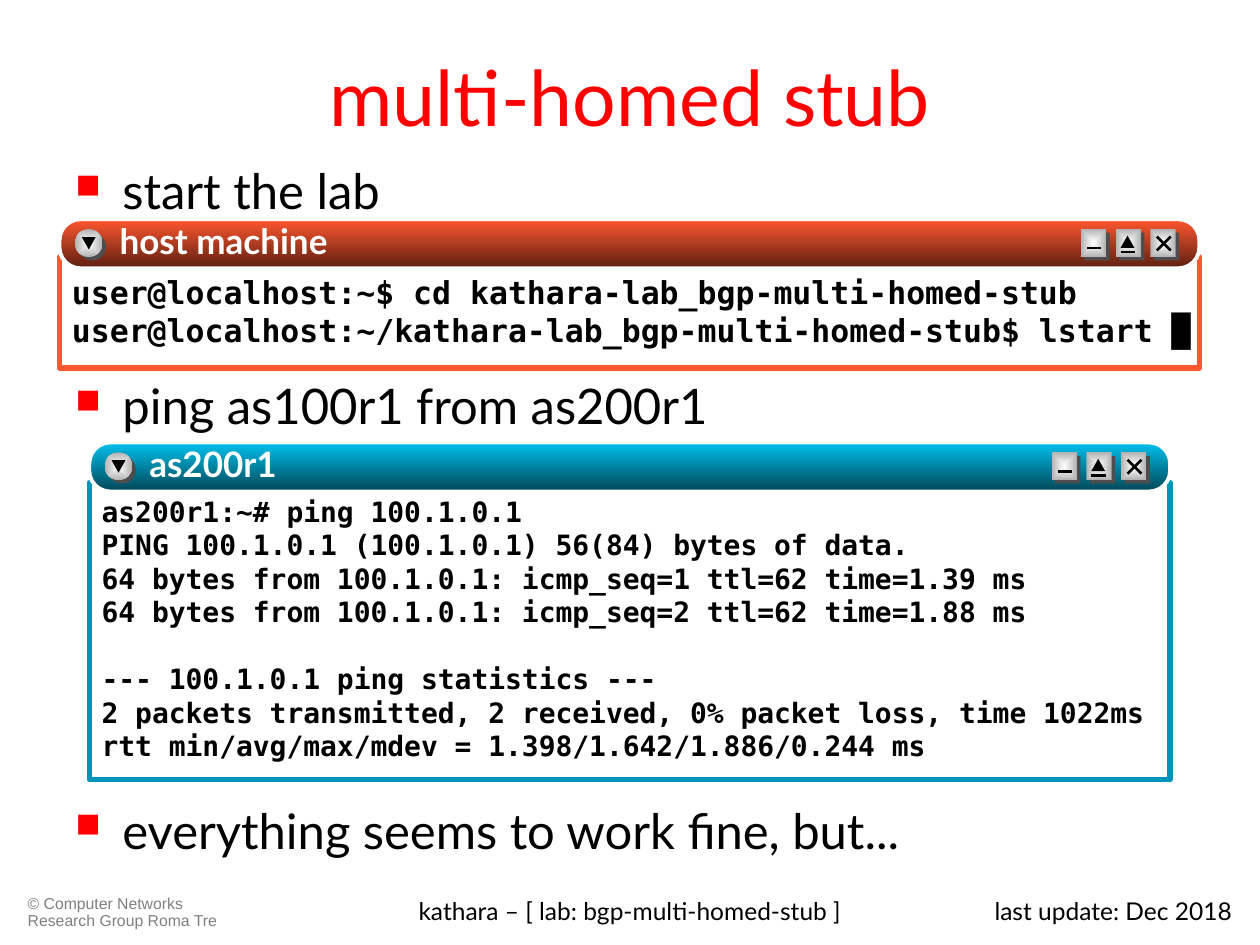
"""Build the multi-homed stub slide with its two terminal windows."""
import lxml.etree
import pptx
import pptx.dml.color
import pptx.enum.shapes
import pptx.enum.text
import pptx.oxml
import pptx.oxml.ns
import pptx.util

Cm = pptx.util.Cm
Pt = pptx.util.Pt
RGBColor = pptx.dml.color.RGBColor
Shape = pptx.enum.shapes.MSO_SHAPE
Align = pptx.enum.text.PP_ALIGN
Anchor = pptx.enum.text.MSO_ANCHOR
qn = pptx.oxml.ns.qn

RED = RGBColor(0xFF, 0x00, 0x00)
BLACK = RGBColor(0x00, 0x00, 0x00)
WHITE = RGBColor(0xFF, 0xFF, 0xFF)
GREY = RGBColor(0x80, 0x80, 0x80)
SILVER = RGBColor(0xB2, 0xB2, 0xB2)
SHADE = RGBColor(0x4D, 0x4D, 0x4D)
ORANGE = RGBColor(0xFF, 0x57, 0x2F)
BROWN = RGBColor(0x5C, 0x1F, 0x11)
CYAN = RGBColor(0x00, 0xC1, 0xEE)
TEAL = RGBColor(0x00, 0x95, 0xB8)
DARK_TEAL = RGBColor(0x00, 0x46, 0x56)
DRAWING = 'xmlns:a="http://schemas.openxmlformats.org/drawingml/2006/main"'


def write(frame, text, size=28, font="Lato", color=BLACK, bold=False, align=Align.LEFT,
          before=0, spacing=None, bullet=False, shadow=False):
    frame.word_wrap = True
    para = frame.paragraphs[0]
    if para.runs:
        para = frame.add_paragraph()
    para.alignment = align
    para.space_before = Pt(before)
    para.line_spacing = spacing
    if bullet:
        props = para._p.get_or_add_pPr()
        props.set("marL", str(Cm(0.95)))
        props.set("indent", str(-Cm(0.95)))
        for mark in (f'<a:buClr {DRAWING}><a:srgbClr val="{RED}"/></a:buClr>',
                     f'<a:buSzPct {DRAWING} val="70000"/>',
                     f'<a:buChar {DRAWING} char="■"/>'):
            props.append(pptx.oxml.parse_xml(mark))
    span = para.add_run()
    span.text = text
    span.font.size = Pt(size)
    span.font.name = font
    span.font.bold = bold
    span.font.color.rgb = color
    if shadow:
        span._r.rPr.find(qn("a:solidFill")).addnext(pptx.oxml.parse_xml(
            f'<a:effectLst {DRAWING}><a:outerShdw dist="25400" dir="2700000">'
            f'<a:srgbClr val="{BLACK}"/></a:outerShdw></a:effectLst>'))


def draw(kind, left, top, width, height, colors, line=None, weight=0, radial=False):
    shape = page.shapes.add_shape(kind, Cm(left), Cm(top), Cm(width), Cm(height))
    shape.shadow.inherit = False
    if len(colors) == 1:
        shape.fill.solid()
        shape.fill.fore_color.rgb = colors[0]
    else:
        shape.fill.gradient()
        shape.fill.gradient_angle = 270
        for stop, color in zip(shape.fill.gradient_stops, colors):
            stop.color.rgb = color
    if radial:
        linear = shape._element.spPr.find(qn("a:gradFill")).find(qn("a:lin"))
        linear.getparent().replace(linear, pptx.oxml.parse_xml(
            f'<a:path {DRAWING} path="rect"><a:fillToRect l="50000" t="50000" '
            'r="50000" b="50000"/></a:path>'))
    if line is None:
        shape.line.fill.background()
    else:
        shape.line.color.rgb = line
        shape.line.width = Pt(weight)
    return shape


deck = pptx.Presentation()
deck.slide_width = Cm(25.4)
deck.slide_height = Cm(19.05)
page = deck.slides.add_slide(deck.slide_layouts[6])

footers = [
    (0.31, 4.39, "© Computer Networks Research Group Roma Tre",
     dict(size=9, font="Arial", color=GREY, spacing=0.9)),
    (19.3, 5.79, "last update: Dec 2018", dict(size=14, align=Align.RIGHT)),
    (6.5, 12.4, "kathara – [ lab: bgp-multi-homed-stub ]", dict(size=14, align=Align.CENTER)),
]
for left, width, text, style in footers:
    box = page.shapes.add_textbox(Cm(left), Cm(17.93), Cm(width), Cm(0.91))
    write(box.text_frame, text, **style)

title = page.shapes.add_textbox(Cm(1.27), Cm(0.76), Cm(22.86), Cm(2.36))
title.text_frame.vertical_anchor = Anchor.MIDDLE
write(title.text_frame, "multi-homed stub", size=44, color=RED, align=Align.CENTER)

body = page.shapes.add_textbox(Cm(1.27), Cm(3.12), Cm(22.86), Cm(14.81))
for text, before in (("start the lab", 0), ("ping as100r1 from as200r1", 89),
                     ("everything seems to work fine, but...", 209)):
    write(body.text_frame, text, before=before, bullet=True)

windows = [
    ("host machine", 1.2, 4.42, 22.98, 5.18, 2.24, 0.33, 18, ORANGE, (ORANGE, BROWN), [
        ("user@localhost:~$ cd kathara-lab_bgp-multi-homed-stub", 0),
        ("user@localhost:~/kathara-lab_bgp-multi-homed-stub$ lstart █", 0),
    ]),
    ("as200r1", 1.8, 8.92, 21.79, 9.73, 5.99, 0.23, 16, TEAL, (CYAN, DARK_TEAL), [
        ("as200r1:~# ping 100.1.0.1", 0),
        ("PING 100.1.0.1 (100.1.0.1) 56(84) bytes of data.", 0),
        ("64 bytes from 100.1.0.1: icmp_seq=1 ttl=62 time=1.39 ms", 0),
        ("64 bytes from 100.1.0.1: icmp_seq=2 ttl=62 time=1.88 ms", 0),
        ("--- 100.1.0.1 ping statistics ---", 19),
        ("2 packets transmitted, 2 received, 0% packet loss, time 1022ms", 0),
        ("rtt min/avg/max/mdev = 1.398/1.642/1.886/0.244 ms", 0),
    ]),
]
button_strokes = [
    [(0.13, 0.38, 0.41, 0.38)],
    [(0.1, 0.46, 0.4, 0.46)],
    [(0.13, 0.43, 0.41, 0.15), (0.13, 0.15, 0.41, 0.43)],
]
for name, left, top, width, frame_top, frame_height, inset, size, edge, colors, lines in windows:
    terminal = draw(Shape.RECTANGLE, left, frame_top, width, frame_height, [WHITE], edge, 3)
    terminal.text_frame.vertical_anchor = Anchor.TOP
    terminal.text_frame.margin_top = Cm(inset)
    terminal.text_frame.margin_right = 0
    for text, before in lines:
        write(terminal.text_frame, text, size=size, font="DejaVu Sans Mono", bold=True,
              before=before)

    bar = draw(Shape.ROUNDED_RECTANGLE, left, top, width, 0.99, colors, WHITE, 2.25)
    bar.adjustments[0] = 0.43

    knobs = [(Shape.OVAL, left + 0.31, 0.56)]
    knobs += [(Shape.RECTANGLE, left + width - 2.39 + 0.7 * step, 0.51) for step in range(3)]
    for kind, knob_left, knob_width in knobs:
        draw(kind, knob_left + 0.07, top + 0.27, knob_width, 0.56, [SHADE])
        draw(kind, knob_left, top + 0.2, knob_width, 0.56, (WHITE, SILVER), radial=True)

    menu = draw(Shape.ISOSCELES_TRIANGLE, left + 0.45, top + 0.36, 0.28, 0.25, [BLACK])
    menu._element.spPr.xfrm.set("flipV", "1")
    draw(Shape.ISOSCELES_TRIANGLE, knobs[2][1] + 0.1, top + 0.33, 0.28, 0.25, [BLACK])
    for (kind, knob_left, knob_width), strokes in zip(knobs[1:], button_strokes):
        for x1, y1, x2, y2 in strokes:
            stroke = page.shapes.add_connector(
                pptx.enum.shapes.MSO_CONNECTOR.STRAIGHT,
                Cm(knob_left + x1), Cm(top + 0.2 + y1), Cm(knob_left + x2), Cm(top + 0.2 + y2))
            stroke.line.color.rgb = BLACK
            stroke.line.width = Pt(1.5)
            lxml.etree.SubElement(stroke._element.spPr, qn("a:effectLst"))

    label = page.shapes.add_textbox(Cm(left + 1.21), Cm(top), Cm(width / 2), Cm(0.99))
    label.text_frame.margin_left = label.text_frame.margin_right = 0
    label.text_frame.margin_top = label.text_frame.margin_bottom = 0
    write(label.text_frame, name, size=20, color=WHITE, bold=True, shadow=True)

deck.save("out.pptx")
